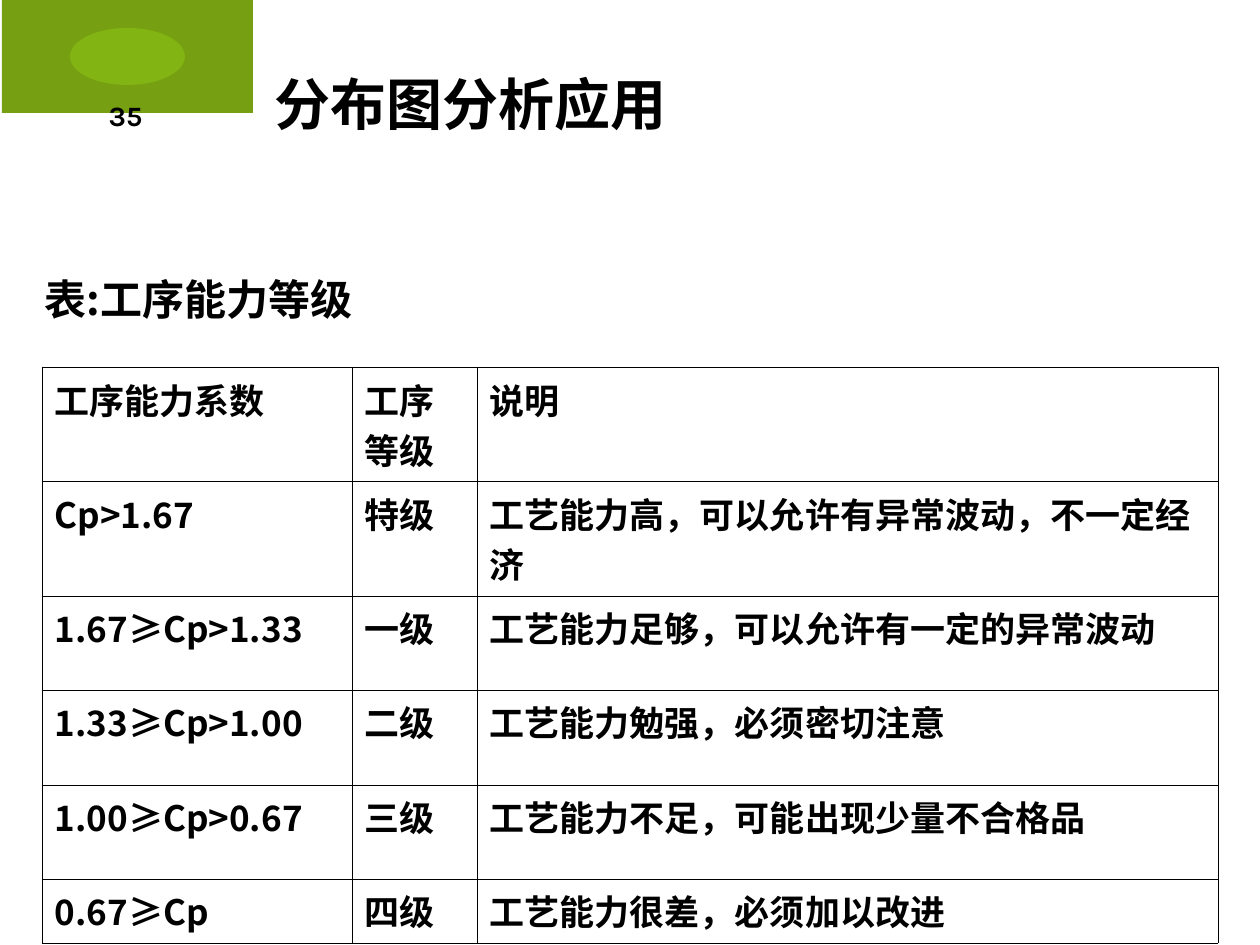
"""Build the slide on process capability grades."""
from lxml.etree import SubElement
from pptx import Presentation
from pptx.dml.color import RGBColor
from pptx.enum.shapes import MSO_SHAPE
from pptx.enum.text import MSO_ANCHOR, MSO_AUTO_SIZE, PP_ALIGN
from pptx.oxml.ns import qn
from pptx.util import Emu, Pt

BLACK = RGBColor(0x00, 0x00, 0x00)
GREEN = RGBColor(0x76, 0x9F, 0x11)
LIME = RGBColor(0x8F, 0xCB, 0x17)
HAN, LATIN = "Noto Sans CJK SC", "Karla"

SHAPES = [
    (MSO_SHAPE.RECTANGLE, (2, 0, 251, 113), GREEN, 100),
    (MSO_SHAPE.OVAL, (70, 28, 115, 57), LIME, 50),
]
TEXTS = [
    ("表:工序能力等级", (32, 220, 861, 158), 24, HAN, PP_ALIGN.LEFT, MSO_ANCHOR.MIDDLE, True),
    ("35", (73, 73, 105, 84), 16, LATIN, PP_ALIGN.CENTER, MSO_ANCHOR.MIDDLE, True),
    ("分布图分析应用", (262, 63, 420, 81), 32, HAN, PP_ALIGN.LEFT, MSO_ANCHOR.TOP, False),
]
GRADES = [
    ("工序能力系数", "工序等级", "说明"),
    ("Cp>1.67", "特级", "工艺能力高，可以允许有异常波动，不一定经济"),
    ("1.67≥Cp>1.33", "一级", "工艺能力足够，可以允许有一定的异常波动"),
    ("1.33≥Cp>1.00", "二级", "工艺能力勉强，必须密切注意"),
    ("1.00≥Cp>0.67", "三级", "工艺能力不足，可能出现少量不合格品"),
    ("0.67≥Cp", "四级", "工艺能力很差，必须加以改进"),
]
COLS = [310, 125, 741]
ROWS = [114, 115, 94, 95, 94, 64]
LEFT, TOP = 42, 367


def px(num):
    return Emu(round(num * 914400 / 126))


def write(frame, text, size, face, align=PP_ALIGN.LEFT):
    para = frame.paragraphs[0]
    para.text = text
    para.alignment = align
    font = para.font
    font.size, font.bold, font.name = Pt(size), True, face
    font.color.rgb = BLACK
    SubElement(para._p.pPr.find(qn("a:defRPr")), qn("a:ea"), typeface=face)


def draw(slide, kind, box, color, alpha):
    shape = slide.shapes.add_shape(kind, *map(px, box))
    shape.shadow.inherit = False
    shape.fill.solid()
    shape.fill.fore_color.rgb = color
    shape.line.fill.background()
    if alpha < 100:
        tint = shape._element.spPr.find(".//" + qn("a:srgbClr"))
        SubElement(tint, qn("a:alpha"), val=str(alpha * 1000))


def label(slide, text, box, size, face, align, anchor, wrap):
    frame = slide.shapes.add_textbox(*map(px, box)).text_frame
    frame.word_wrap = wrap
    if not wrap:
        frame.auto_size = MSO_AUTO_SIZE.SHAPE_TO_FIT_TEXT
    frame.vertical_anchor = anchor
    write(frame, text, size, face, align)


def border(cell):
    props = cell._tc.get_or_add_tcPr()
    for side in ("lnL", "lnR", "lnT", "lnB"):
        line = SubElement(props, qn("a:" + side), w=str(Pt(0.34)))
        fill = SubElement(line, qn("a:solidFill"))
        SubElement(fill, qn("a:srgbClr"), val=str(BLACK))


def grid(slide):
    table = slide.shapes.add_table(
        len(ROWS), len(COLS), px(LEFT), px(TOP), px(sum(COLS)), px(sum(ROWS))
    ).table
    table.first_row = table.horz_banding = False
    for col, width in zip(table.columns, COLS):
        col.width = px(width)
    for row, height, texts in zip(table.rows, ROWS, GRADES):
        row.height = px(height)
        for cell, text in zip(row.cells, texts):
            write(cell.text_frame, text, 20, HAN)
            border(cell)
            cell.fill.background()


def main():
    deck = Presentation()
    deck.slide_width, deck.slide_height = px(1260), px(945)
    slide = deck.slides.add_slide(deck.slide_layouts[6])
    for item in SHAPES:
        draw(slide, *item)
    for item in TEXTS:
        label(slide, *item)
    grid(slide)
    deck.save("out.pptx")


if __name__ == "__main__":
    main()
